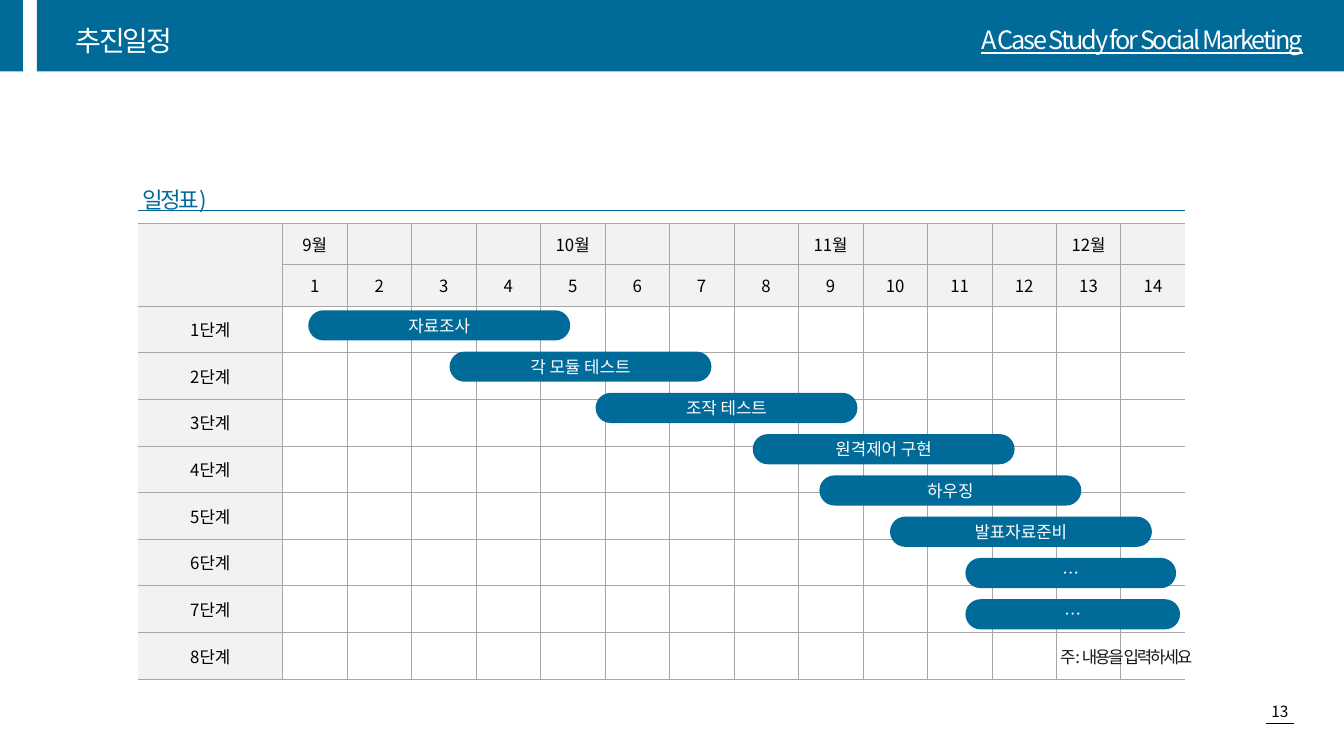
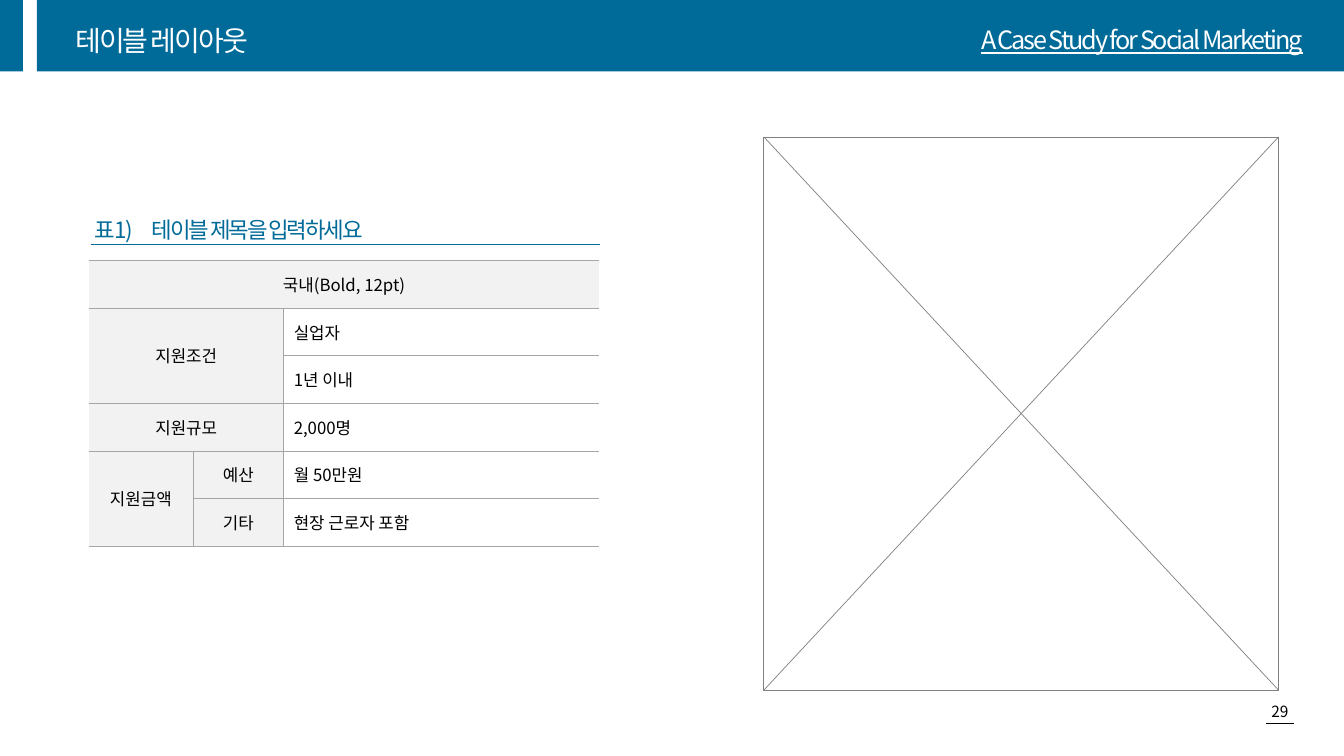
"""Build the schedule page and the table layout page of a marketing case study deck."""
from dataclasses import dataclass
from typing import Optional

from lxml.etree import SubElement
from pptx import Presentation
from pptx.dml.color import RGBColor
from pptx.enum.shapes import MSO_CONNECTOR, MSO_SHAPE
from pptx.enum.text import MSO_ANCHOR, MSO_AUTO_SIZE, PP_ALIGN
from pptx.oxml import parse_xml
from pptx.oxml.ns import nsdecls, qn
from pptx.shapes.autoshape import Shape
from pptx.shapes.connector import Connector
from pptx.slide import Slide
from pptx.table import Table, _Cell
from pptx.text.text import TextFrame
from pptx.util import Cm, Pt

FONT = "Noto Sans CJK KR"
COLORS = {
    "brand": "006B99",
    "white": "FFFFFF",
    "black": "000000",
    "note": "181818",
    "header": "F2F2F2",
    "grid": "A6A6A6",
    "frame": "808080",
}
TITLE_ONLY = 5


@dataclass(frozen=True)
class Area:
    left: float
    top: float
    width: float
    height: float

    def lengths(self) -> tuple[Cm, Cm, Cm, Cm]:
        return Cm(self.left), Cm(self.top), Cm(self.width), Cm(self.height)


@dataclass(frozen=True)
class TextStyle:
    size: float
    color: str
    align: PP_ALIGN = PP_ALIGN.LEFT
    line_spacing: float = 1.0
    tight: bool = False
    underline: bool = False


@dataclass(frozen=True)
class Task:
    label: str
    left: float
    width: float = 6.6


@dataclass(frozen=True)
class Merge:
    top: int
    left: int
    bottom: int
    right: int


TITLE = TextStyle(20, "white", line_spacing=1.3, tight=True)
SUBJECT = TextStyle(18, "white", PP_ALIGN.RIGHT, 1.3, True, True)
PAGE_NUMBER = TextStyle(11, "black", PP_ALIGN.CENTER)
HEADING = TextStyle(16, "brand", line_spacing=1.5, tight=True)
NOTE = TextStyle(12, "note", PP_ALIGN.RIGHT, 1.5, True)
BAR = TextStyle(12, "white", PP_ALIGN.CENTER)
CELL_CENTER = TextStyle(12, "black", PP_ALIGN.CENTER)
CELL_LEFT = TextStyle(12, "black")

BANDS = (Area(0, 0, 0.58, 1.8), Area(0.93, 0, 32.94, 1.8))

WEEK_COUNT = 14
MONTHS = {1: "9월", 5: "10월", 9: "11월", 13: "12월"}
STAGE_COUNT = 8
SCHEDULE = Area(3.48, 5.63, 26.39, 11.48)
STAGE_WIDTH = 3.64
HEADER_HEIGHT = 1.04
BAR_TOP, BAR_STEP, BAR_HEIGHT = 7.82, 1.04, 0.76
TASKS = (
    Task("자료조사", 7.77),
    Task("각 모듈 테스트", 11.33),
    Task("조작 테스트", 15.01),
    Task("원격제어 구현", 18.97),
    Task("하우징", 20.65),
    Task("발표자료준비", 22.43),
    Task("…", 24.33, 5.31),
    Task("…", 24.33, 5.41),
)

SUPPORT_ROWS = (
    ("국내(Bold, 12pt)", "", ""),
    ("지원조건", "", "실업자"),
    ("", "", "1년 이내"),
    ("지원규모", "", "2,000명"),
    ("지원금액", "예산", "월 50만원"),
    ("", "기타", "현장 근로자 포함"),
)
SUPPORT_MERGES = (Merge(0, 0, 0, 2), Merge(1, 0, 2, 1), Merge(3, 0, 3, 1), Merge(4, 0, 5, 0))
SUPPORT_WIDTHS = [2.62, 2.29, 7.95]
SUPPORT_ROW_HEIGHT = 1.2


def color(name: str) -> RGBColor:
    return RGBColor.from_string(COLORS[name])


def write(frame: TextFrame, text: str, style: TextStyle, tab: Optional[float] = None) -> None:
    frame.word_wrap = True
    para = frame.paragraphs[0]
    para.text = text
    format_paragraph(para, style)
    if tab is not None:
        properties = para._p.get_or_add_pPr()
        stops = parse_xml(f'<a:tabLst {nsdecls("a")}><a:tab pos="{Cm(tab)}" algn="l"/></a:tabLst>')
        properties.find(qn("a:defRPr")).addprevious(stops)


def format_paragraph(para, style: TextStyle) -> None:
    para.alignment = style.align
    para.line_spacing = style.line_spacing
    font = para.font
    font.size = Pt(style.size)
    font.name = FONT
    font.color.rgb = color(style.color)
    if style.underline:
        font.underline = True
    defaults = para._p.get_or_add_pPr().find(qn("a:defRPr"))
    SubElement(defaults, qn("a:ea")).set("typeface", FONT)
    if style.tight:
        defaults.set("spc", "-150")


def add_text(page: Slide, area: Area, text: str, style: TextStyle,
             anchor: MSO_ANCHOR = MSO_ANCHOR.TOP, tab: Optional[float] = None) -> None:
    box = page.shapes.add_textbox(*area.lengths())
    box.text_frame.vertical_anchor = anchor
    write(box.text_frame, text, style, tab)


def add_block(page: Slide, kind: MSO_SHAPE, area: Area, fill: str, line: Optional[str] = None) -> Shape:
    block = page.shapes.add_shape(kind, *area.lengths())
    block.shadow.inherit = False
    block.fill.solid()
    block.fill.fore_color.rgb = color(fill)
    if line:
        block.line.color.rgb = color(line)
        block.line.width = Pt(0.5)
    else:
        block.line.fill.background()
    return block


def add_line(page: Slide, start: tuple[float, float], end: tuple[float, float], line: str) -> Connector:
    connector = page.shapes.add_connector(
        MSO_CONNECTOR.STRAIGHT, *(Cm(value) for value in (*start, *end)))
    connector.line.color.rgb = color(line)
    connector.line.width = Pt(0.5)
    SubElement(connector._element.spPr, qn("a:effectLst"))
    return connector


def add_page(deck: Presentation, title: str, number: int) -> Slide:
    page = deck.slides.add_slide(deck.slide_layouts[TITLE_ONLY])
    for band in BANDS:
        add_block(page, MSO_SHAPE.RECTANGLE, band, "brand")
    add_text(page, Area(31.39, 17.58, 1.73, 0.74), str(number), PAGE_NUMBER)
    add_line(page, (31.9, 18.24), (32.61, 18.24), "black")
    add_text(page, Area(21.51, 0.28, 11.58, 1.19), "A Case Study for Social Marketing",
             SUBJECT, MSO_ANCHOR.MIDDLE)
    heading = page.shapes.title
    heading.left, heading.top, heading.width, heading.height = Area(1.65, 0.13, 11.58, 1.52).lengths()
    heading.text_frame.auto_size = MSO_AUTO_SIZE.NONE
    heading.text_frame.vertical_anchor = MSO_ANCHOR.MIDDLE
    write(heading.text_frame, title, TITLE)
    page.shapes._spTree.append(heading._element)
    return page


def set_borders(cell: _Cell, left: bool, right: bool) -> None:
    properties = cell._tc.get_or_add_tcPr()
    sides = {"lnL": left, "lnR": right, "lnT": True, "lnB": True}
    for index, (side, visible) in enumerate(sides.items()):
        paint = f'<a:solidFill><a:srgbClr val="{COLORS["grid"]}"/></a:solidFill>' if visible else "<a:noFill/>"
        border = parse_xml(f'<a:{side} {nsdecls("a")} w="{Pt(0.5)}">{paint}</a:{side}>')
        properties.insert(index, border)


def add_grid(page: Slide, left: float, top: float, widths: list[float], heights: list[float]) -> Table:
    area = Area(left, top, sum(widths), sum(heights))
    table = page.shapes.add_table(len(heights), len(widths), *area.lengths()).table
    table.first_row = False
    table.horz_banding = False
    for column, width in zip(table.columns, widths):
        column.width = Cm(width)
    for row, height in zip(table.rows, heights):
        row.height = Cm(height)
    return table


def fill_cell(table: Table, row: int, column: int, text: str, style: TextStyle, shaded: bool) -> None:
    cell = table.cell(row, column)
    cell.vertical_anchor = MSO_ANCHOR.MIDDLE
    cell.margin_top = cell.margin_bottom = Cm(0)
    if shaded:
        cell.fill.solid()
        cell.fill.fore_color.rgb = color("header")
    else:
        cell.fill.background()
    para = cell.text_frame.paragraphs[0]
    para.text = text
    format_paragraph(para, style)
    last = column + (cell.span_width if cell.is_merge_origin else 1)
    set_borders(cell, column > 0, last < len(table.columns))


def schedule_text(row: int, column: int) -> str:
    if row == 0:
        return MONTHS.get(column, "")
    if row == 1:
        return str(column) if column else ""
    return "" if column else f"{row - 1}단계"


def build_schedule(deck: Presentation) -> None:
    page = add_page(deck, "추진일정", 13)
    week_width = (SCHEDULE.width - STAGE_WIDTH) / WEEK_COUNT
    stage_height = (SCHEDULE.height - 2 * HEADER_HEIGHT) / STAGE_COUNT
    widths = [STAGE_WIDTH] + [week_width] * WEEK_COUNT
    heights = [HEADER_HEIGHT] * 2 + [stage_height] * STAGE_COUNT
    table = add_grid(page, SCHEDULE.left, SCHEDULE.top, widths, heights)
    table.cell(0, 0).merge(table.cell(1, 0))
    for row in range(len(heights)):
        for column in range(len(widths)):
            shaded = row < 2 or column == 0
            fill_cell(table, row, column, schedule_text(row, column), CELL_CENTER, shaded)
    add_text(page, Area(19.35, 15.93, 10.95, 0.97), "주: 내용을 입력하세요", NOTE)
    for index, task in enumerate(TASKS):
        area = Area(task.left, BAR_TOP + index * BAR_STEP, task.width, BAR_HEIGHT)
        bar = add_block(page, MSO_SHAPE.ROUNDED_RECTANGLE, area, "brand")
        bar.adjustments[0] = 0.5
        bar.text_frame.margin_top = bar.text_frame.margin_bottom = Cm(0)
        bar.text_frame.vertical_anchor = MSO_ANCHOR.MIDDLE
        write(bar.text_frame, task.label, BAR)
    add_text(page, Area(3.33, 4.22, 10, 1.14), "일정표)", HEADING)
    right = SCHEDULE.left + SCHEDULE.width
    add_line(page, (SCHEDULE.left, 5.31), (right, 5.31), "brand")


def build_table_layout(deck: Presentation) -> None:
    page = add_page(deck, "테이블 레이아웃", 29)
    heights = [SUPPORT_ROW_HEIGHT] * len(SUPPORT_ROWS)
    table = add_grid(page, 2.24, 6.56, SUPPORT_WIDTHS, heights)
    for merge in SUPPORT_MERGES:
        table.cell(merge.top, merge.left).merge(table.cell(merge.bottom, merge.right))
    for row, texts in enumerate(SUPPORT_ROWS):
        for column, text in enumerate(texts):
            shaded = row == 0 or column < 2
            fill_cell(table, row, column, text, CELL_CENTER if shaded else CELL_LEFT, shaded)
    add_text(page, Area(2.13, 4.98, 10, 1.19), "표1)\t테이블 제목을 입력하세요", HEADING, tab=1.45)
    add_line(page, (2.29, 6.15), (15.11, 6.15), "brand")
    frame = Area(19.25, 3.45, 12.97, 13.94)
    add_block(page, MSO_SHAPE.RECTANGLE, frame, "white", "frame")
    right, bottom = frame.left + frame.width, frame.top + frame.height
    add_line(page, (right, frame.top), (frame.left, bottom), "frame")
    add_line(page, (frame.left, frame.top), (right, bottom), "frame")


def main() -> None:
    deck = Presentation()
    deck.slide_width, deck.slide_height = Cm(33.87), Cm(19.05)
    build_schedule(deck)
    build_table_layout(deck)
    deck.save("out.pptx")


if __name__ == "__main__":
    main()
